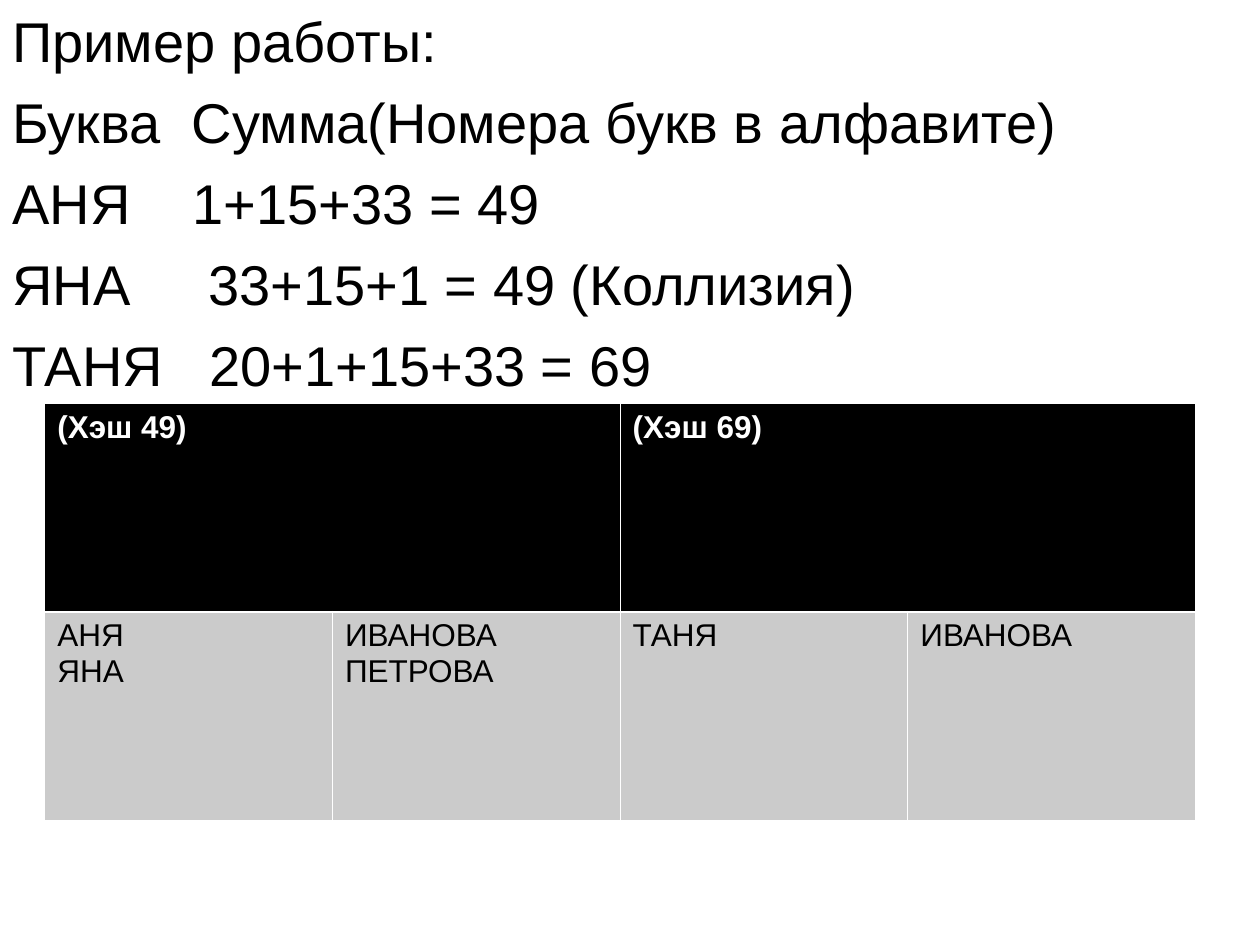
from lxml import etree
from pptx import Presentation
from pptx.dml.color import RGBColor
from pptx.oxml.ns import qn
from pptx.util import Pt

BLACK = RGBColor(0x00, 0x00, 0x00)
WHITE = RGBColor(0xFF, 0xFF, 0xFF)
GREY = RGBColor(0xCB, 0xCB, 0xCB)


def format_paragraph(p, size, color, bold=False):
    for r in p.runs:
        r.font.name = "Arial"
        r.font.size = Pt(size)
        r.font.bold = bold
        r.font.color.rgb = color


def add_border(cell, side, width):
    ln = etree.SubElement(cell._tc.get_or_add_tcPr(), qn(f"a:ln{side}"), w=str(Pt(width)))
    fill = etree.SubElement(ln, qn("a:solidFill"))
    etree.SubElement(fill, qn("a:srgbClr"), val=str(WHITE))


prs = Presentation()
prs.slide_width, prs.slide_height = Pt(720), Pt(540)
s = prs.slides.add_slide(prs.slide_layouts[6])

# Worked example: line text and the tab stop of its second column
lines = [
    ("Пример работы:", None),
    ("Буква\tСумма(Номера букв в алфавите)", 102.5),
    ("АНЯ\t1+15+33 = 49", 103),
    ("ЯНА\t33+15+1 = 49 (Коллизия)", 112),
    ("ТАНЯ\t20+1+15+33 = 69", 112.5),
]
tf = s.shapes.add_textbox(0, 0, prs.slide_width, prs.slide_height).text_frame
tf.word_wrap = True
tf.margin_top = Pt(3.6)
for i, (line, stop) in enumerate(lines):
    p = tf.paragraphs[0] if i == 0 else tf.add_paragraph()
    p.text = line
    if i:
        p.space_before = Pt(8)
        tabs = etree.SubElement(p._p.get_or_add_pPr(), qn("a:tabLst"))
        etree.SubElement(tabs, qn("a:tab"), pos=str(Pt(stop)), algn="l")
    format_paragraph(p, 32, BLACK)

# Hash table: each hash heads a pair of columns
rows = [
    ["(Хэш 49)", "", "(Хэш 69)", ""],
    ["АНЯ\nЯНА", "ИВАНОВА\nПЕТРОВА", "ТАНЯ", "ИВАНОВА"],
]
table = s.shapes.add_table(2, 4, Pt(25.6), Pt(230.7), Pt(657.6), Pt(238)).table
for column in table.columns:
    column.width = Pt(164.4)
for c in (0, 2):
    table.cell(0, c).merge(table.cell(0, c + 1))

for i, row in enumerate(rows):
    for j, value in enumerate(row):
        cell = table.cell(i, j)
        for side in "LRTB":
            heading_rule = (i, side) in ((0, "B"), (1, "T"))
            add_border(cell, side, 1.5 if heading_rule else 0.5)
        cell.fill.solid()
        cell.fill.fore_color.rgb = GREY if i else BLACK
        if value:
            cell.text_frame.text = value
        for p in cell.text_frame.paragraphs:
            format_paragraph(p, 18, BLACK if i else WHITE, bold=i == 0)

prs.save("out.pptx")
